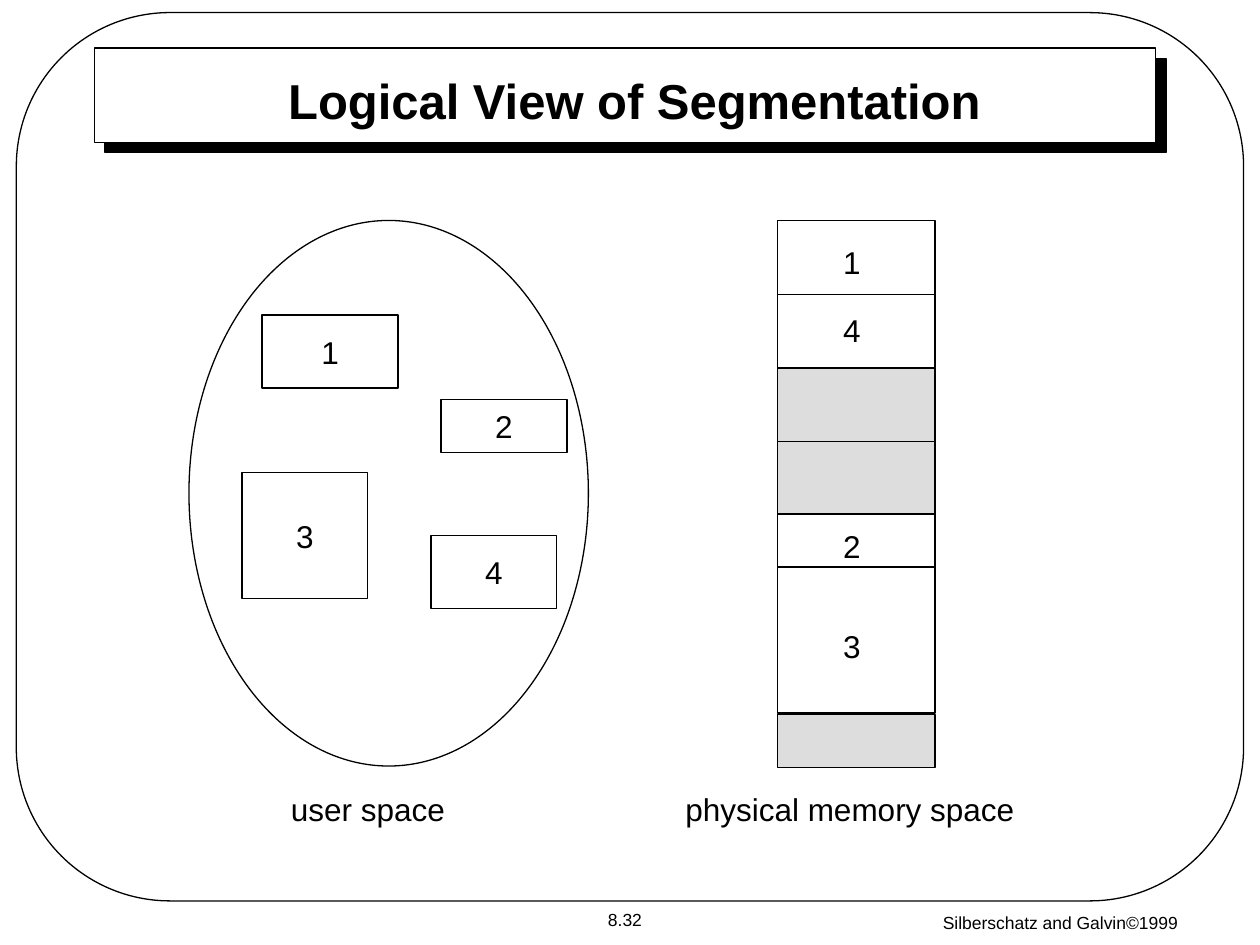
from lxml import etree
from pptx import Presentation
from pptx import util as u
from pptx.dml.color import RGBColor
from pptx.enum import shapes as sh, text as tx
from pptx.oxml import parse_xml
from pptx.oxml.ns import nsdecls, qn

BLACK, WHITE, GRAY = "000000", "FFFFFF", "DDDDDD"
LEFT, WIDE = 6.17, 1.25  # memory column


def color(code):
    return RGBColor.from_string(code)


def write(shape, words, size=18, bold=False, wrap=False):
    frame = shape.text_frame
    frame.word_wrap = wrap
    frame.vertical_anchor = tx.MSO_ANCHOR.MIDDLE
    para = frame.paragraphs[0]
    para.alignment = tx.PP_ALIGN.CENTER
    run = para.add_run()
    run.text = words
    run.font.name = "Arial"
    run.font.size = u.Pt(size)
    run.font.bold = bold
    run.font.color.rgb = color(BLACK)


def shape(slide, kind, box, fill=WHITE, words=None):
    item = slide.shapes.add_shape(kind, *map(u.Inches, box))
    item.shadow.inherit = False
    if fill:
        item.fill.solid()
        item.fill.fore_color.rgb = color(fill)
    else:
        item.fill.background()
    item.line.color.rgb = color(BLACK)
    item.line.width = u.Pt(0.75)
    if words:
        write(item, words)
    return item


def rect(slide, box, fill=WHITE, words=None):
    return shape(slide, sh.MSO_SHAPE.RECTANGLE, box, fill, words)


def label(slide, box, words, size=18, wrap=False):
    item = slide.shapes.add_textbox(*map(u.Inches, box))
    write(item, words, size, wrap=wrap)


def split(slide, top, block=None):
    """Draw a line across the memory column, joined to block if it halves it."""
    y = u.Inches(top)
    line = slide.shapes.add_connector(
        sh.MSO_CONNECTOR.STRAIGHT, u.Inches(LEFT), y, u.Inches(LEFT + WIDE), y)
    line.line.color.rgb = color(BLACK)
    line.line.width = u.Pt(0.75)
    etree.SubElement(line.element.spPr, qn("a:effectLst"))
    if block:
        line.begin_connect(block, 1)
        line.end_connect(block, 3)


def frame(slide):
    banner = rect(slide, (0.75, 0.38, 8.42, 0.75))
    effects = banner.element.spPr.find(qn("a:effectLst"))
    effects.append(parse_xml(
        f'<a:outerShdw {nsdecls("a")} dist="{u.Pt(8.5)}" dir="2700000" '
        f'algn="ctr" rotWithShape="0"><a:srgbClr val="{BLACK}"/></a:outerShdw>'))
    label(slide, (6.83, 7.15, 3.17, 0.35), "Silberschatz and Galvin©1999", 10, True)
    border = shape(slide, sh.MSO_SHAPE.ROUNDED_RECTANGLE, (0.13, 0.1, 9.74, 7.05), None)
    border.adjustments[0] = 0.173
    label(slide, (4.49, 7.16, 0.94, 0.27), "8.32", 10)


def heading(slide):
    title = slide.shapes.title
    title.left, title.top, title.width, title.height = map(
        u.Inches, (1.27, 0.54, 7.53, 0.5))
    write(title, "Logical View of Segmentation", 28, True, True)
    title.element.getparent().append(title.element)  # in front of the banner


def user(slide):
    shape(slide, sh.MSO_SHAPE.OVAL, (1.5, 1.75, 3.17, 4.33))
    for words, *box in (("1", 2.08, 2.5, 1.08, 0.58), ("3", 1.92, 3.75, 1, 1),
                        ("2", 3.5, 3.17, 1, 0.42), ("4", 3.42, 4.25, 1, 0.58)):
        rect(slide, box, words=words)
    label(slide, (2.21, 6.22, 1.49, 0.4), "user space ")


def memory(slide):
    for top, high, fill, cut in ((1.75, 1.17, WHITE, 2.33), (2.92, 1.17, GRAY, 3.5),
                                 (4.08, 1.58, WHITE, None), (5.67, 0.42, GRAY, None)):
        block = rect(slide, (LEFT, top, WIDE, high), fill)
        if cut:
            split(slide, cut, block)
    split(slide, 4.5)
    for words, top in (("1", 1.88), ("4", 2.42), ("2", 4.13), ("3", 4.93)):
        label(slide, (6.59, top, 0.34, 0.4), words)
    label(slide, (5.34, 6.22, 2.81, 0.4), "physical memory space")


def main():
    deck = Presentation()
    deck.slide_width, deck.slide_height = u.Inches(10), u.Inches(7.5)
    slide = deck.slides.add_slide(deck.slide_layouts[5])
    frame(slide)
    heading(slide)
    user(slide)
    memory(slide)
    deck.save("out.pptx")


if __name__ == "__main__":
    main()
